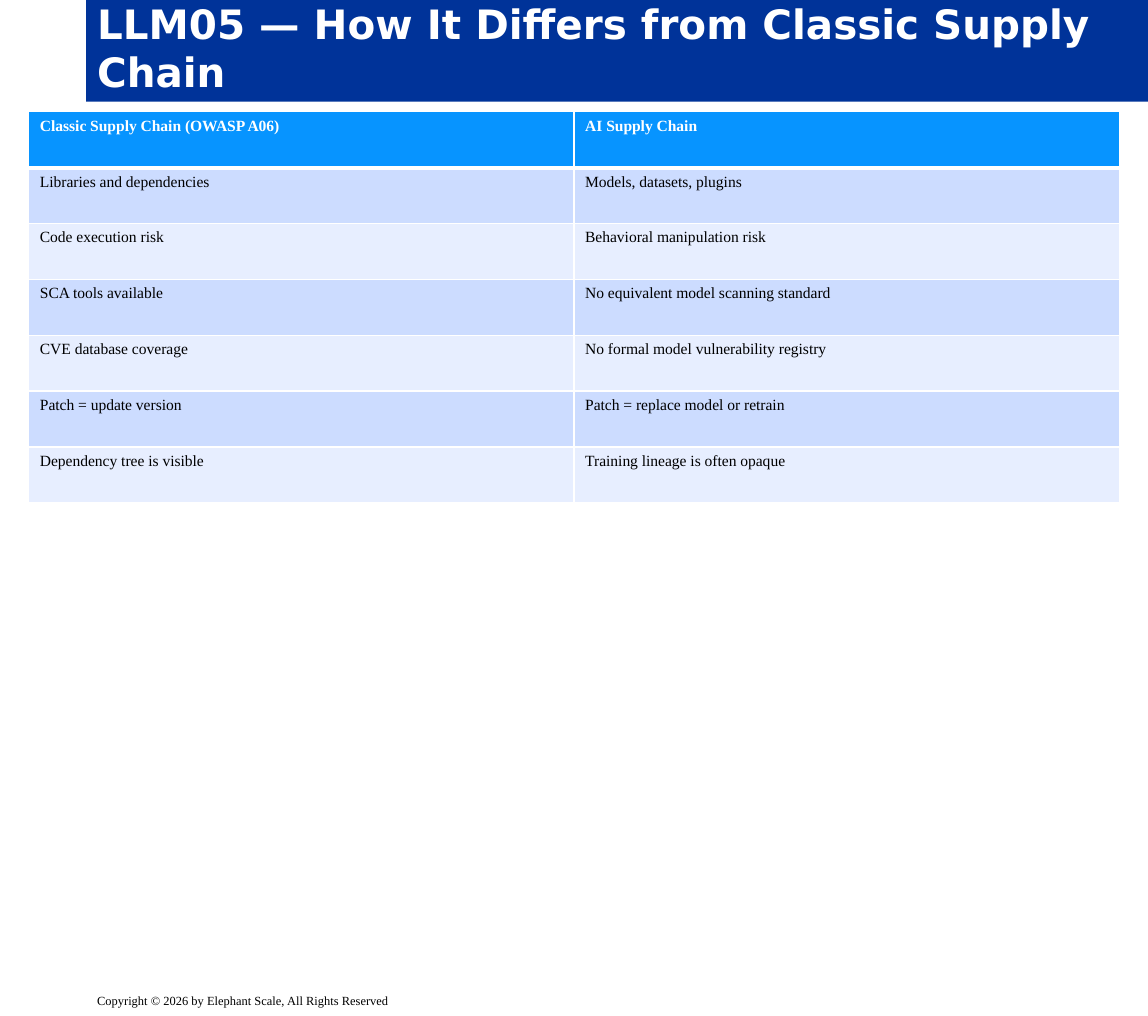
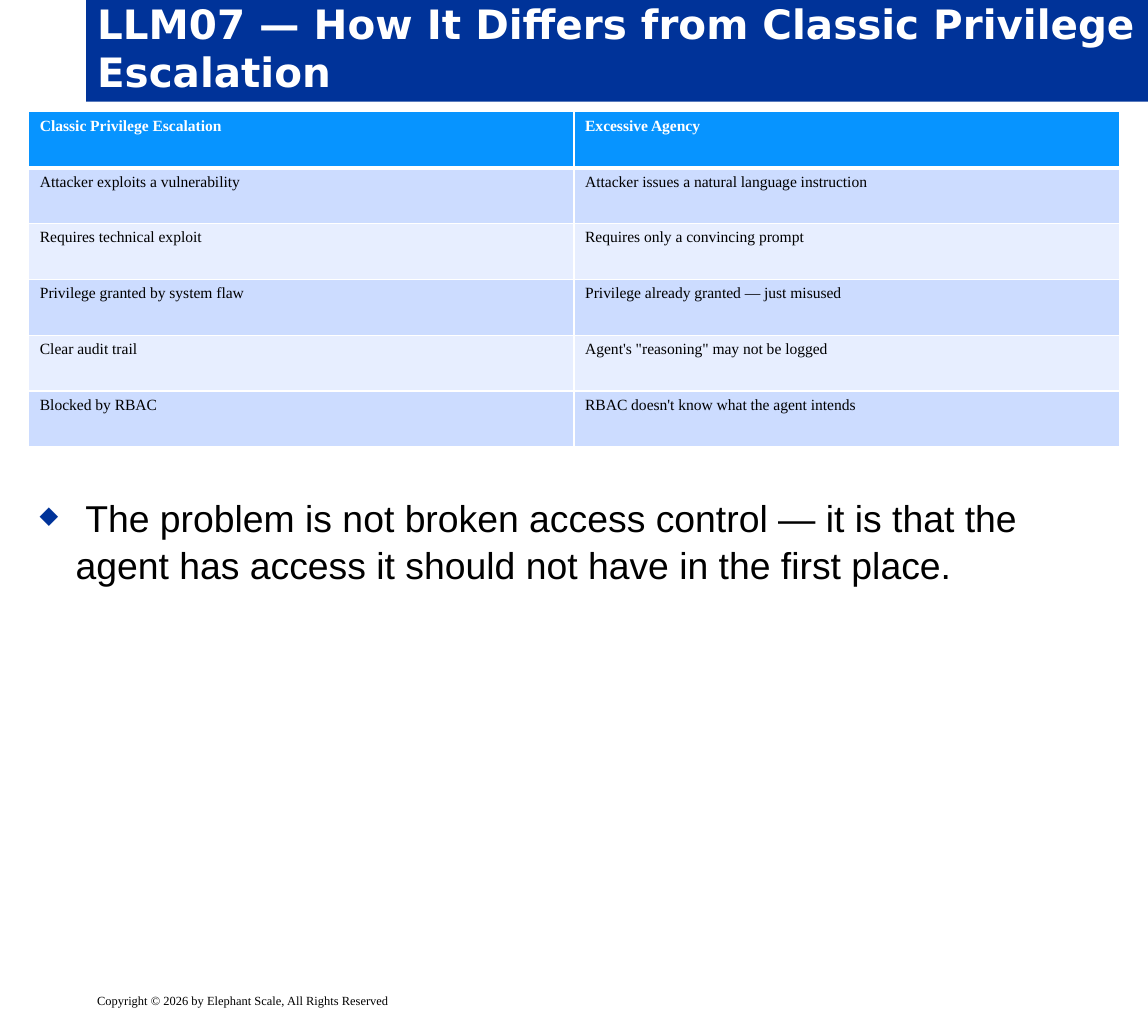
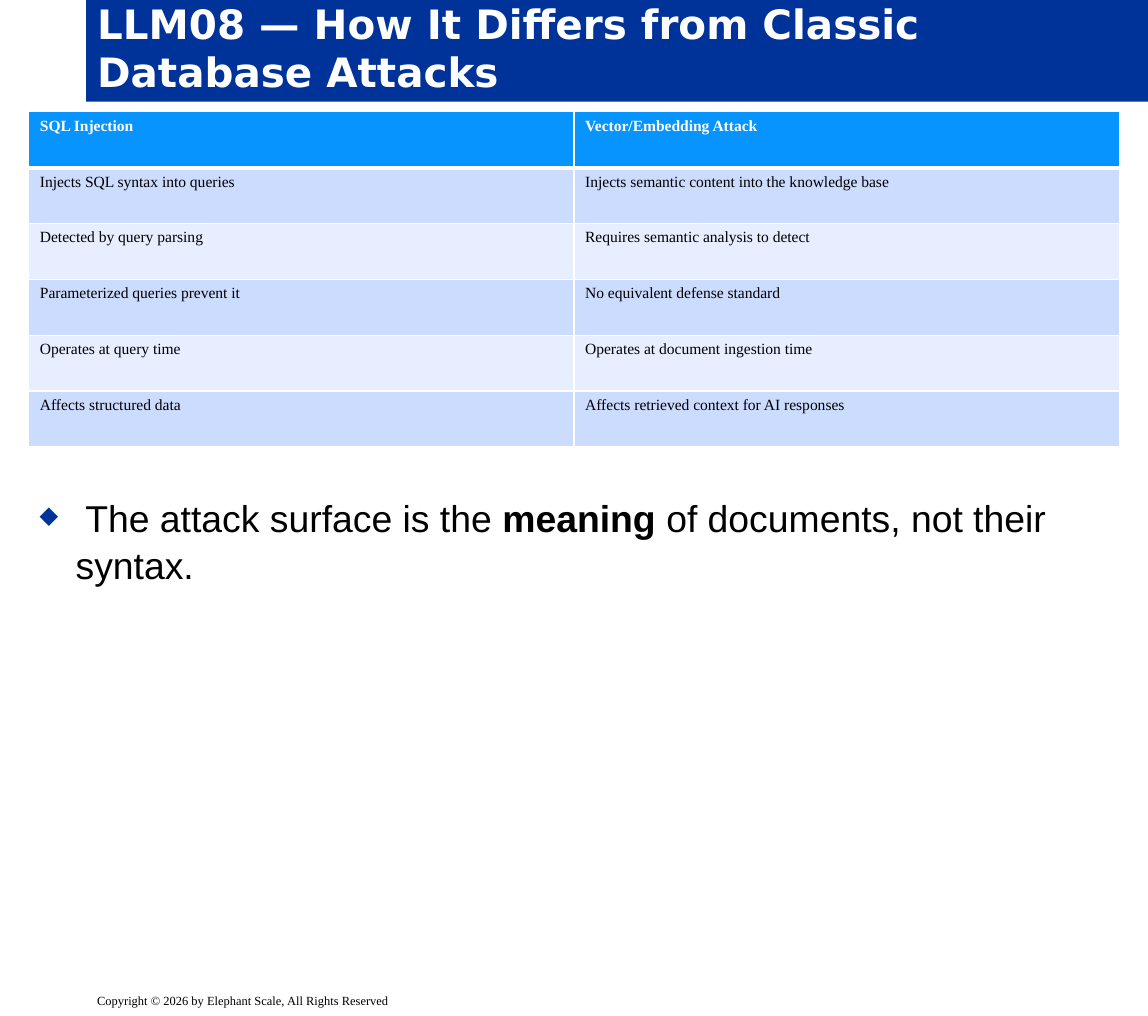
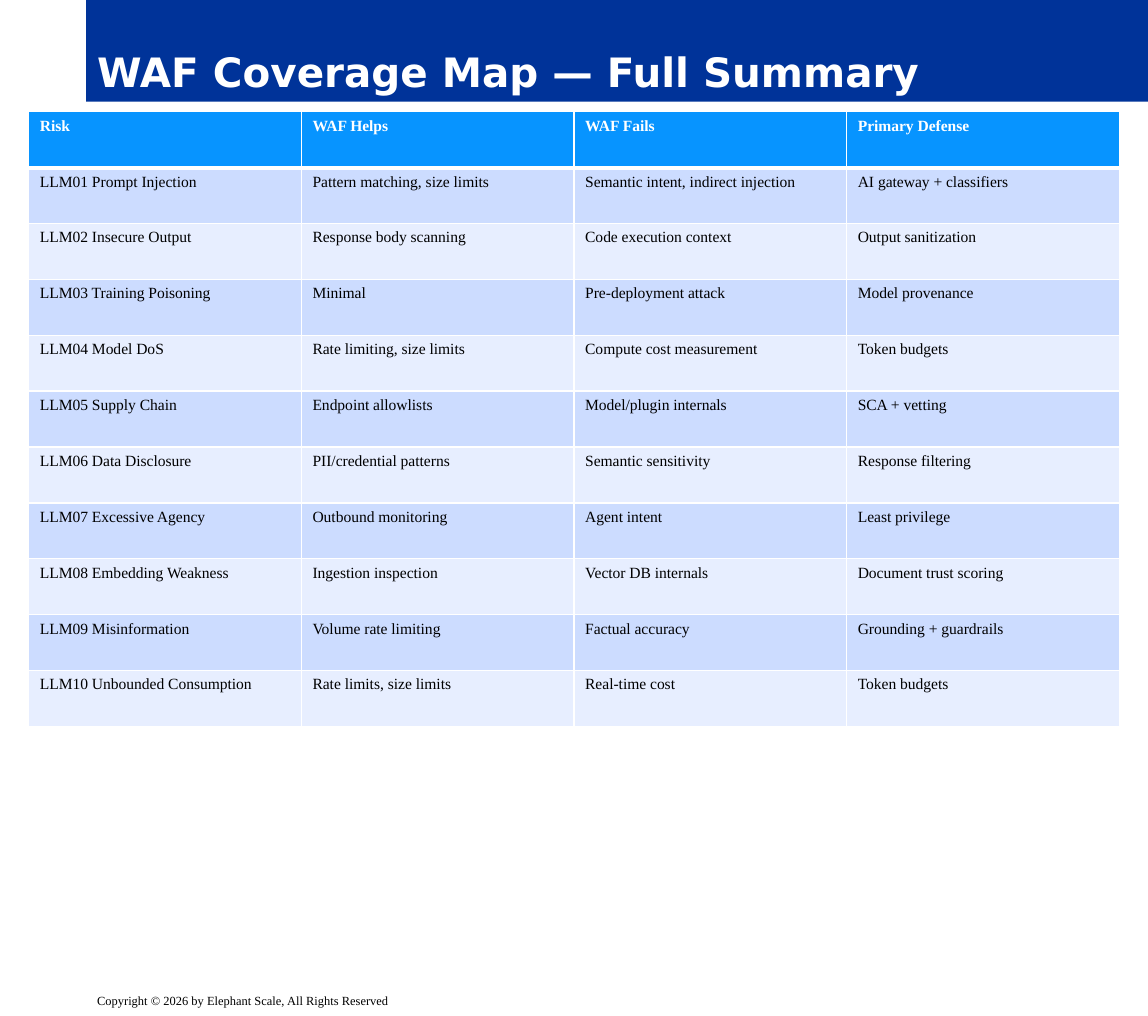
from pptx import Presentation
from pptx.dml.color import RGBColor
from pptx.enum.shapes import MSO_SHAPE
from pptx.enum.text import MSO_ANCHOR, PP_ALIGN
from pptx.oxml.ns import qn
from pptx.util import Inches, Pt
from lxml.etree import SubElement, Element

NAVY = RGBColor(0x00, 0x33, 0x99)
AZURE = RGBColor(0x07, 0x94, 0xFF)
BAND_DARK = RGBColor(0xCC, 0xDC, 0xFF)
BAND_LIGHT = RGBColor(0xE7, 0xEE, 0xFF)
WHITE = RGBColor(0xFF, 0xFF, 0xFF)
BLACK = RGBColor(0x00, 0x00, 0x00)

TITLE_FONT = "DejaVu Sans"
BODY_FONT = "Arial"
SMALL_FONT = "Times New Roman"

# Shares of the slide's width and height
BAND_LEFT, BAND_HEIGHT = 0.075, 0.1
CONTENT_LEFT, CONTENT_WIDTH = 0.025, 0.95
TABLE_TOP, ROW_HEIGHT = 0.11, 0.055
TAKEAWAY_TOP, TAKEAWAY_HEIGHT = 0.48, 0.46
FOOTER_TOP = 0.97

COPYRIGHT = "Copyright © 2026 by Elephant Scale, All Rights Reserved"


def write(paragraph, text, *, font, size, color=BLACK, bold=False):
    """Append one formatted run to the paragraph."""
    run = paragraph.add_run()
    run.text = text
    run.font.name = font
    run.font.size = Pt(size)
    run.font.bold = bold
    run.font.color.rgb = color


def add_bullet(paragraph, char, color, percent, indent):
    properties = paragraph._p.get_or_add_pPr()
    properties.set("marL", str(indent))
    properties.set("indent", str(-indent))
    bullet_color = SubElement(properties, qn("a:buClr"))
    SubElement(bullet_color, qn("a:srgbClr"), val=str(color))
    SubElement(properties, qn("a:buSzPct"), val=str(percent * 1000))
    SubElement(properties, qn("a:buChar"), char=char)


def set_borders(cell, color, top, bottom, side=1):
    """Draw the cell's four borders, with widths in points."""
    properties = cell._tc.get_or_add_tcPr()
    widths = {"a:lnL": side, "a:lnR": side, "a:lnT": top, "a:lnB": bottom}
    for position, (tag, width) in enumerate(widths.items()):
        line = Element(qn(tag), w=str(Pt(width)))
        SubElement(SubElement(line, qn("a:solidFill")), qn("a:srgbClr"), val=str(color))
        properties.insert(position, line)


class Deck:
    def __init__(self):
        self.presentation = Presentation()
        self.presentation.slide_width = Inches(10.25)
        self.presentation.slide_height = Inches(9.07)
        self.slide = None

    def across(self, share):
        return round(self.presentation.slide_width * share)

    def down(self, share):
        return round(self.presentation.slide_height * share)

    def box(self, left, top, width, height):
        return self.across(left), self.down(top), self.across(width), self.down(height)

    def new_slide(self, title):
        blank = self.presentation.slide_layouts[6]
        self.slide = self.presentation.slides.add_slide(blank)
        self.title_band(title)
        self.footer()

    def title_band(self, title):
        band = self.slide.shapes.add_shape(
            MSO_SHAPE.RECTANGLE, *self.box(BAND_LEFT, 0, 1 - BAND_LEFT, BAND_HEIGHT))
        band.shadow.inherit = False
        band.fill.solid()
        band.fill.fore_color.rgb = NAVY
        band.line.fill.background()
        frame = band.text_frame
        frame.word_wrap = True
        frame.vertical_anchor = MSO_ANCHOR.BOTTOM
        heading = frame.paragraphs[0]
        heading.alignment = PP_ALIGN.LEFT
        write(heading, title, font=TITLE_FONT, size=26, color=WHITE, bold=True)

    def text_frame(self, left, top, width, height):
        frame = self.slide.shapes.add_textbox(*self.box(left, top, width, height)).text_frame
        frame.word_wrap = True
        return frame

    def footer(self):
        frame = self.text_frame(BAND_LEFT, FOOTER_TOP, 1 - BAND_LEFT, 1 - FOOTER_TOP)
        frame.vertical_anchor = MSO_ANCHOR.MIDDLE
        write(frame.paragraphs[0], COPYRIGHT, font=SMALL_FONT, size=8)

    def table(self, rows):
        """Add a banded table whose first row is the header."""
        table = self.slide.shapes.add_table(
            len(rows), len(rows[0]),
            *self.box(CONTENT_LEFT, TABLE_TOP, CONTENT_WIDTH, ROW_HEIGHT * len(rows))).table
        for row_index, row in enumerate(rows):
            header = row_index == 0
            band = BAND_DARK if row_index % 2 else BAND_LIGHT
            for column_index, text in enumerate(row):
                cell = table.cell(row_index, column_index)
                cell.fill.solid()
                cell.fill.fore_color.rgb = AZURE if header else band
                set_borders(cell, WHITE, top=3 if row_index == 1 else 1,
                            bottom=3 if header else 1)
                write(cell.text_frame.paragraphs[0], text, font=SMALL_FONT, size=10,
                      color=WHITE if header else BLACK, bold=header)

    def takeaway(self, *parts):
        """Add a bullet below the table from (text, bold) parts."""
        frame = self.text_frame(CONTENT_LEFT, TAKEAWAY_TOP, CONTENT_WIDTH, TAKEAWAY_HEIGHT)
        point = frame.paragraphs[0]
        add_bullet(point, "◆", NAVY, percent=65, indent=Inches(0.32))
        point.line_spacing = 1.05
        for text, bold in parts:
            write(point, text, font=BODY_FONT, size=24, bold=bold)


def main():
    deck = Deck()

    deck.new_slide("LLM05 — How It Differs from Classic Supply Chain")
    deck.table([
        ("Classic Supply Chain (OWASP A06)", "AI Supply Chain"),
        ("Libraries and dependencies", "Models, datasets, plugins"),
        ("Code execution risk", "Behavioral manipulation risk"),
        ("SCA tools available", "No equivalent model scanning standard"),
        ("CVE database coverage", "No formal model vulnerability registry"),
        ("Patch = update version", "Patch = replace model or retrain"),
        ("Dependency tree is visible", "Training lineage is often opaque"),
    ])

    deck.new_slide("LLM07 — How It Differs from Classic Privilege Escalation")
    deck.takeaway((" The problem is not broken access control — it is that the agent "
                   "has access it should not have in the first place.", False))
    deck.table([
        ("Classic Privilege Escalation", "Excessive Agency"),
        ("Attacker exploits a vulnerability", "Attacker issues a natural language instruction"),
        ("Requires technical exploit", "Requires only a convincing prompt"),
        ("Privilege granted by system flaw", "Privilege already granted — just misused"),
        ("Clear audit trail", 'Agent\'s "reasoning" may not be logged'),
        ("Blocked by RBAC", "RBAC doesn't know what the agent intends"),
    ])

    deck.new_slide("LLM08 — How It Differs from Classic Database Attacks")
    deck.takeaway((" The attack surface is the", False), (" meaning", True),
                  (" of documents, not their syntax.", False))
    deck.table([
        ("SQL Injection", "Vector/Embedding Attack"),
        ("Injects SQL syntax into queries", "Injects semantic content into the knowledge base"),
        ("Detected by query parsing", "Requires semantic analysis to detect"),
        ("Parameterized queries prevent it", "No equivalent defense standard"),
        ("Operates at query time", "Operates at document ingestion time"),
        ("Affects structured data", "Affects retrieved context for AI responses"),
    ])

    deck.new_slide("WAF Coverage Map — Full Summary")
    deck.table([
        ("Risk", "WAF Helps", "WAF Fails", "Primary Defense"),
        ("LLM01 Prompt Injection", "Pattern matching, size limits",
         "Semantic intent, indirect injection", "AI gateway + classifiers"),
        ("LLM02 Insecure Output", "Response body scanning",
         "Code execution context", "Output sanitization"),
        ("LLM03 Training Poisoning", "Minimal", "Pre-deployment attack", "Model provenance"),
        ("LLM04 Model DoS", "Rate limiting, size limits",
         "Compute cost measurement", "Token budgets"),
        ("LLM05 Supply Chain", "Endpoint allowlists", "Model/plugin internals", "SCA + vetting"),
        ("LLM06 Data Disclosure", "PII/credential patterns",
         "Semantic sensitivity", "Response filtering"),
        ("LLM07 Excessive Agency", "Outbound monitoring", "Agent intent", "Least privilege"),
        ("LLM08 Embedding Weakness", "Ingestion inspection",
         "Vector DB internals", "Document trust scoring"),
        ("LLM09 Misinformation", "Volume rate limiting",
         "Factual accuracy", "Grounding + guardrails"),
        ("LLM10 Unbounded Consumption", "Rate limits, size limits",
         "Real-time cost", "Token budgets"),
    ])

    deck.presentation.save("out.pptx")


if __name__ == "__main__":
    main()
